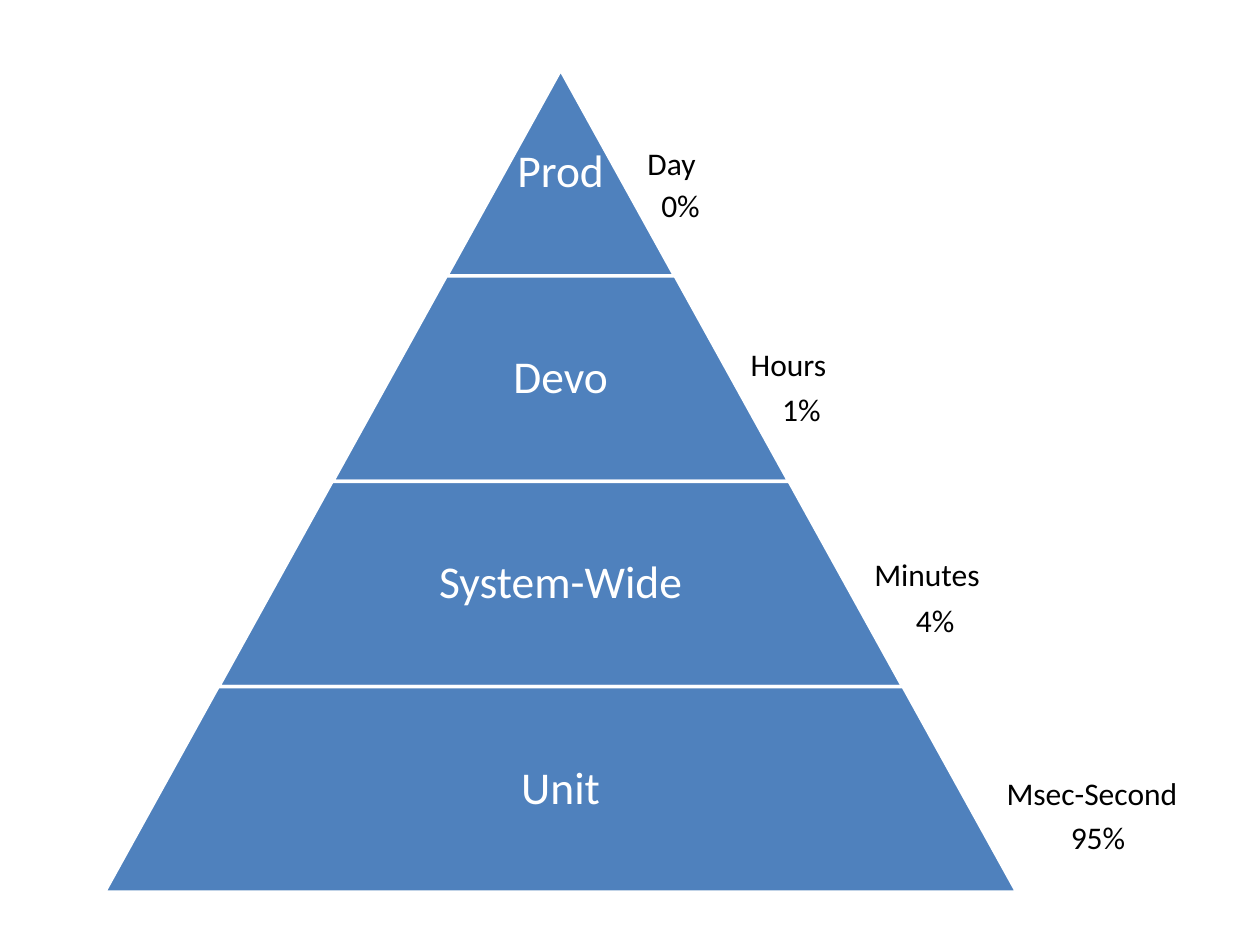
from pptx import Presentation
from pptx.dml.color import RGBColor
from pptx.enum import shapes, text
from pptx.util import Inches, Pt

BLUE = RGBColor(0x4F, 0x81, 0xBD)
WHITE = RGBColor(0xFF, 0xFF, 0xFF)
BLACK = RGBColor(0, 0, 0)
FONT = "Calibri"

MID, TOP = 4.45, 0.56   # apex of the pyramid
STEP, TALL = 1.81, 1.63  # width gained per tier, tier height
SLOPE = 0.553

# tier name, share of the width for its text
TIERS = [("Prod", 1), ("Devo", 0.65), ("System-Wide", 0.65), ("Unit", 0.65)]

# text, left, top, width
NOTES = [
    ("Day", 5.04, 1.09, 0.59), ("0%", 5.15, 1.43, 0.51),
    ("Hours", 5.86, 2.69, 0.81), ("1%", 6.11, 3.05, 0.51),
    ("Minutes", 6.84, 4.36, 1.05), ("4%", 7.17, 4.72, 0.51),
    ("Msec-Second", 7.89, 6.09, 1.57), ("95%", 8.4, 6.44, 0.64),
]


def add_text(slide, words, box, size, color):
    frame = slide.shapes.add_textbox(*map(Inches, box)).text_frame
    para = frame.paragraphs[0]
    para.text = words
    para.font.name = FONT
    para.font.size = Pt(size)
    para.font.color.rgb = color
    return frame


def add_tier(slide, row, name, share):
    """Draw one layer of the pyramid with its name in the middle."""
    wide, top = STEP * (row + 1), TOP + TALL * row
    tier = slide.shapes.add_shape(
        shapes.MSO_SHAPE.TRAPEZOID,
        *map(Inches, (MID - wide / 2, top, wide, TALL)))
    tier.adjustments[0] = SLOPE
    tier.shadow.inherit = False
    tier.fill.solid()
    tier.fill.fore_color.rgb = BLUE
    tier.line.color.rgb = WHITE
    tier.line.width = Pt(2)

    span = wide * share
    frame = add_text(slide, name, (MID - span / 2, top, span, TALL), 26, WHITE)
    frame.word_wrap = True
    frame.vertical_anchor = text.MSO_ANCHOR.MIDDLE
    frame.margin_left = frame.margin_right = Inches(0.04)
    frame.margin_top = frame.margin_bottom = Inches(0.04)
    para = frame.paragraphs[0]
    para.alignment = text.PP_ALIGN.CENTER
    para.line_spacing = 0.9


def add_note(slide, words, left, top, wide):
    frame = add_text(slide, words, (left, top, wide, 0.4), 18, BLACK)
    frame.word_wrap = False
    frame.auto_size = text.MSO_AUTO_SIZE.SHAPE_TO_FIT_TEXT


def main():
    deck = Presentation()
    deck.slide_width, deck.slide_height = Inches(10), Inches(7.5)
    slide = deck.slides.add_slide(deck.slide_layouts[6])
    for row, (name, share) in enumerate(TIERS):
        add_tier(slide, row, name, share)
    for note in NOTES:
        add_note(slide, *note)
    deck.save("out.pptx")


if __name__ == "__main__":
    main()
